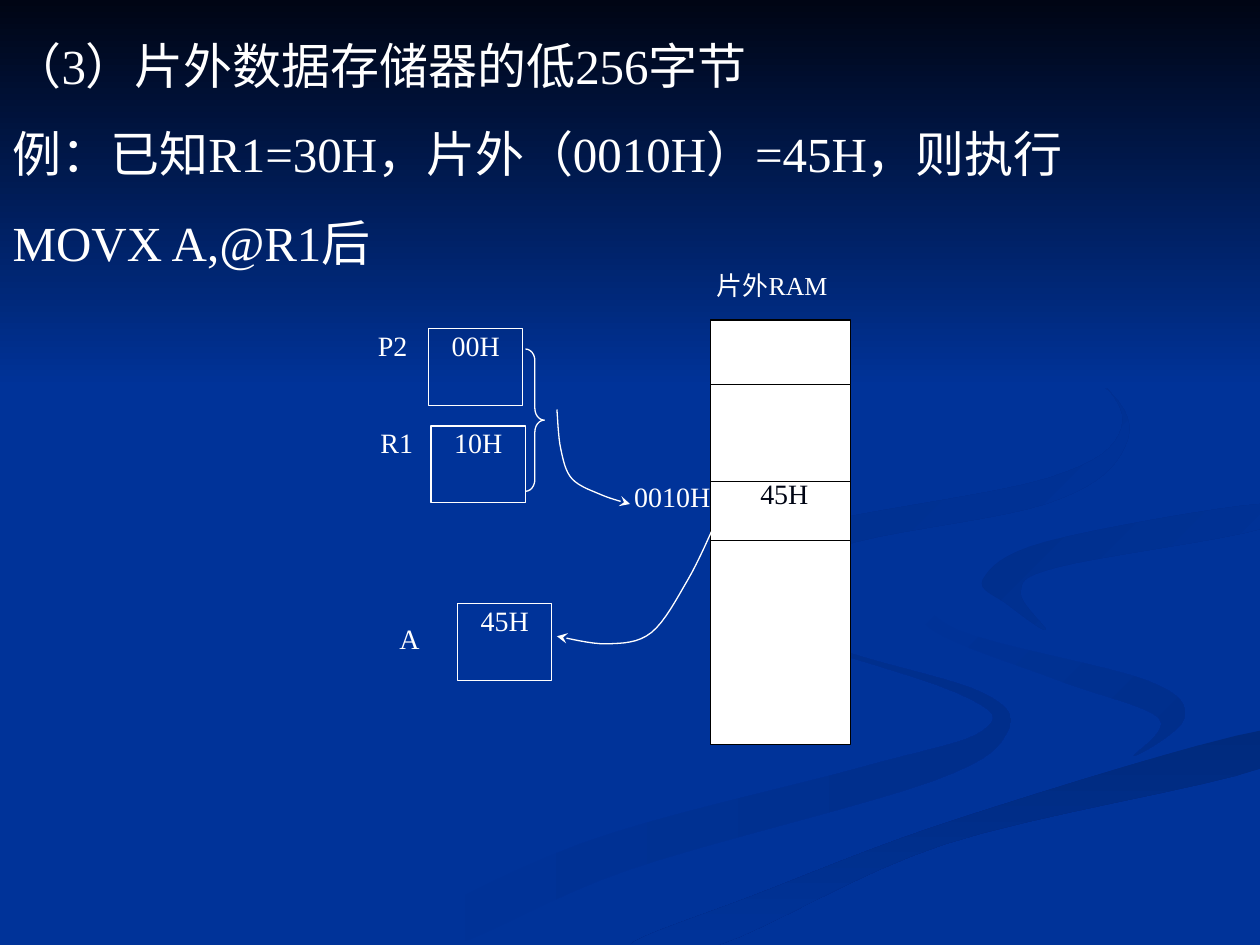
from dataclasses import dataclass
from typing import Optional

import pptx
import pptx.dml.color
import pptx.enum.shapes
import pptx.enum.text
import pptx.oxml
import pptx.oxml.ns
import pptx.util

RGB = pptx.dml.color.RGBColor
ALIGN = pptx.enum.text.PP_ALIGN
SHAPE = pptx.enum.shapes.MSO_SHAPE
qn = pptx.oxml.ns.qn

WHITE = RGB(0xFF, 0xFF, 0xFF)
BLACK = RGB(0, 0, 0)
NAVY = RGB(0x00, 0x05, 0x14)
BLUE = RGB(0x00, 0x33, 0x99)
DARK_BLUE = RGB(0x00, 0x2E, 0x8B)
DEEP_BLUE = RGB(0x00, 0x2A, 0x7D)
FONT = "Times New Roman"
COLS, ROWS = 100, 75  # grid cells over a 10 x 7.5 inch slide
CELL = pptx.util.Inches(0.1)


@dataclass(frozen=True)
class Ribbon:
    """A background swoosh: gradient and the (column, row) knots of its outline."""
    first: RGB
    last: RGB
    angle: int
    knots: tuple


@dataclass(frozen=True)
class Register:
    name: str
    value: str
    col: float
    row: float
    name_col: float
    name_row: float


RIBBONS = (
    Ribbon(BLUE, DARK_BLUE, 0, (
        (58, 46), (59, 49), (68, 52), (78, 55), (80, 58), (74, 62), (50, 69), (36, 75),
        (30, 75), (46, 67), (68, 61), (78, 58), (76, 55), (58, 49))),
    Ribbon(BLUE, DARK_BLUE, 45, (
        (72, 46), (76, 50), (91, 54), (94, 57), (90, 60), (92, 57), (84, 54), (74, 50))),
    Ribbon(DEEP_BLUE, BLUE, 90, (
        (50, 75), (57, 75), (75, 67), (100, 61), (100, 58), (76, 65), (60, 71))),
    Ribbon(DARK_BLUE, BLUE, 45, (
        (78, 46), (80, 48), (83, 50), (81, 47), (84, 45), (100, 42), (100, 40), (83, 43))),
    Ribbon(DARK_BLUE, BLUE, 45, (
        (68, 43), (83, 40), (89, 36), (88, 31), (76, 23), (86, 29), (89, 34), (83, 38),
        (63, 42), (58, 46), (62, 50), (60, 46))),
)
REGISTERS = (
    Register("P2", "00H", 34, 26.1, 30, 26.1),
    Register("R1", "10H", 34.2, 33.8, 30.2, 33.8),
    Register("A", "45H", 36.3, 47.9, 31.7, 49.3),
)
TO_RAM = ((44.2, 32.5), (44.5, 35.6), (45.4, 38), (47.8, 39.3), (50, 40))
TO_A = ((56.7, 41.7), (54.6, 46), (51.7, 50.2), (48.2, 51.1), (44.2, 50.5))
LINES = ("（3）片外数据存储器的低256字节",
         "例：已知R1=30H，片外（0010H）=45H，则执行",
         "MOVX A,@R1后")


def cells(*values: float) -> list:
    return [int(v * CELL) for v in values]


def style(shape, fill: Optional[RGB] = None, line: Optional[RGB] = None) -> None:
    shape.shadow.inherit = False
    if fill is None:
        shape.fill.background()
    else:
        shape.fill.solid()
        shape.fill.fore_color.rgb = fill
    if line is None:
        shape.line.fill.background()
    else:
        shape.line.color.rgb = line
        shape.line.width = pptx.util.Pt(0.75)


def shade(shape, first: RGB, last: RGB, angle: int) -> None:
    style(shape, first)
    shape.fill.gradient()
    shape.fill.gradient_angle = -angle % 360
    for stop, color in zip(shape.fill.gradient_stops, (first, last)):
        stop.color.rgb = color


def write(p, text: str, *, size: float = 16, color: RGB = WHITE,
          align=ALIGN.CENTER, spacing: float = 1) -> None:
    p.alignment, p.line_spacing = align, spacing
    r = p.add_run()
    r.text = text
    r.font.name, r.font.size = FONT, pptx.util.Pt(size)
    r.font.color.rgb = color


def fill_text(shape, text: str, **fmt) -> None:
    tf = shape.text_frame
    tf.word_wrap = True
    tf.margin_left = tf.margin_top = tf.margin_right = tf.margin_bottom = 0
    tf.vertical_anchor = pptx.enum.text.MSO_ANCHOR.TOP
    write(tf.paragraphs[0], text, **fmt)


def label(s, text: str, box: tuple, **fmt) -> None:
    fill_text(s.shapes.add_textbox(*cells(*box)), text, **fmt)


def rect(s, box: tuple, fill: Optional[RGB] = None, line: Optional[RGB] = None):
    shape = s.shapes.add_shape(SHAPE.RECTANGLE, *cells(*box))
    style(shape, fill, line)
    return shape


def smooth(knots: tuple, closed: bool, steps: int = 8) -> list:
    """Catmull-Rom curve through the knots, kept inside the slide."""
    ends = (knots[-1:], knots[:2]) if closed else (knots[:1], knots[-1:])
    k = ends[0] + knots + ends[1]
    points = [knots[0]]
    for a, b, c, d in zip(k, k[1:], k[2:], k[3:]):
        for t in (n / steps for n in range(1, steps + 1)):
            col, row = (q + t / 2 * (r - p + t * (2 * p - 5 * q + 4 * r - u
                                                  + t * (3 * (q - r) + u - p)))
                        for p, q, r, u in zip(a, b, c, d))
            points.append((min(max(col, 0), COLS), min(max(row, 0), ROWS)))
    return points


def curve(s, knots: tuple, closed: bool):
    first, *rest = [cells(*pt) for pt in smooth(knots, closed)]
    builder = s.shapes.build_freeform(*first)
    builder.add_line_segments(rest, close=closed)
    return builder.convert_to_shape()


def curved_arrow(s, knots: tuple) -> None:
    shape = curve(s, knots, False)
    style(shape, line=WHITE)
    ln = shape.element.spPr.find(qn("a:ln"))
    ln.append(ln.makeelement(qn("a:tailEnd"), {"type": "stealth"}))


def draw_register(s, reg: Register) -> None:
    fill_text(rect(s, (reg.col, reg.row, 7.5, 6.1), line=WHITE), reg.value)
    label(s, reg.name, (reg.name_col, reg.name_row, 3.6, 6.6), align=ALIGN.JUSTIFY)


def fill_body(body) -> None:
    body.left, body.top, body.width, body.height = cells(0, 0, COLS, 22.5)
    tf = body.text_frame
    tf.auto_size = pptx.enum.text.MSO_AUTO_SIZE.NONE
    for i, line in enumerate(LINES):
        p = tf.add_paragraph() if i else tf.paragraphs[0]
        pPr = p._p.get_or_add_pPr()
        indent = cells(3.8)[0]
        pPr.set("marL", str(indent))
        pPr.set("indent", str(-indent))
        pPr.append(pPr.makeelement(qn("a:buNone"), {}))
        p.space_before = pptx.util.Pt(0)
        write(p, line, size=28, align=ALIGN.LEFT, spacing=1.5)


def draw_ram(s) -> None:
    left, width = 56.4, 11.1
    rect(s, (left, 25.4, width, 33.7), WHITE, BLACK)
    rect(s, (left, 30.5, width, 12.4), WHITE, BLACK)
    divider = s.shapes.add_connector(pptx.enum.shapes.MSO_CONNECTOR.STRAIGHT,
                                     *cells(left, 38.2, left + width, 38.2))
    divider.line.color.rgb, divider.line.width = BLACK, pptx.util.Pt(0.75)
    spPr = divider.element.spPr
    spPr.append(spPr.makeelement(qn("a:effectLst"), {}))
    label(s, "片外RAM", (56.9, 21.7, 10.8, 2.5), size=14.8, align=ALIGN.JUSTIFY, spacing=0.9)
    label(s, "0010H", (49.9, 38.1, 6.9, 5.4))
    label(s, "45H", (57.8, 37.8, 8.9, 5.4), color=NAVY)


def main() -> None:
    prs = pptx.Presentation()
    prs.slide_width, prs.slide_height = cells(COLS, ROWS)
    s = prs.slides.add_slide(prs.slide_layouts[1])
    s.background.fill.solid()
    s.background.fill.fore_color.rgb = BLUE
    title, body = s.placeholders
    tree = body.element.getparent()
    tree.remove(title.element)
    for ribbon in RIBBONS:
        shade(curve(s, ribbon.knots, True), ribbon.first, ribbon.last, ribbon.angle)
    shade(rect(s, (0, 0, COLS, 30.8)), NAVY, BLUE, 90)
    tree.append(body.element)  # text goes in front of the ribbons
    fill_body(body)
    draw_ram(s)
    for reg in REGISTERS:
        draw_register(s, reg)
    brace = s.shapes.add_shape(SHAPE.RIGHT_BRACE, *cells(41.7, 27.7, 1.5, 11.3))
    style(brace, line=WHITE)
    brace.adjustments[0] = 0.62
    curved_arrow(s, TO_RAM)
    curved_arrow(s, TO_A)
    prs.save("out.pptx")


if __name__ == "__main__":
    main()
